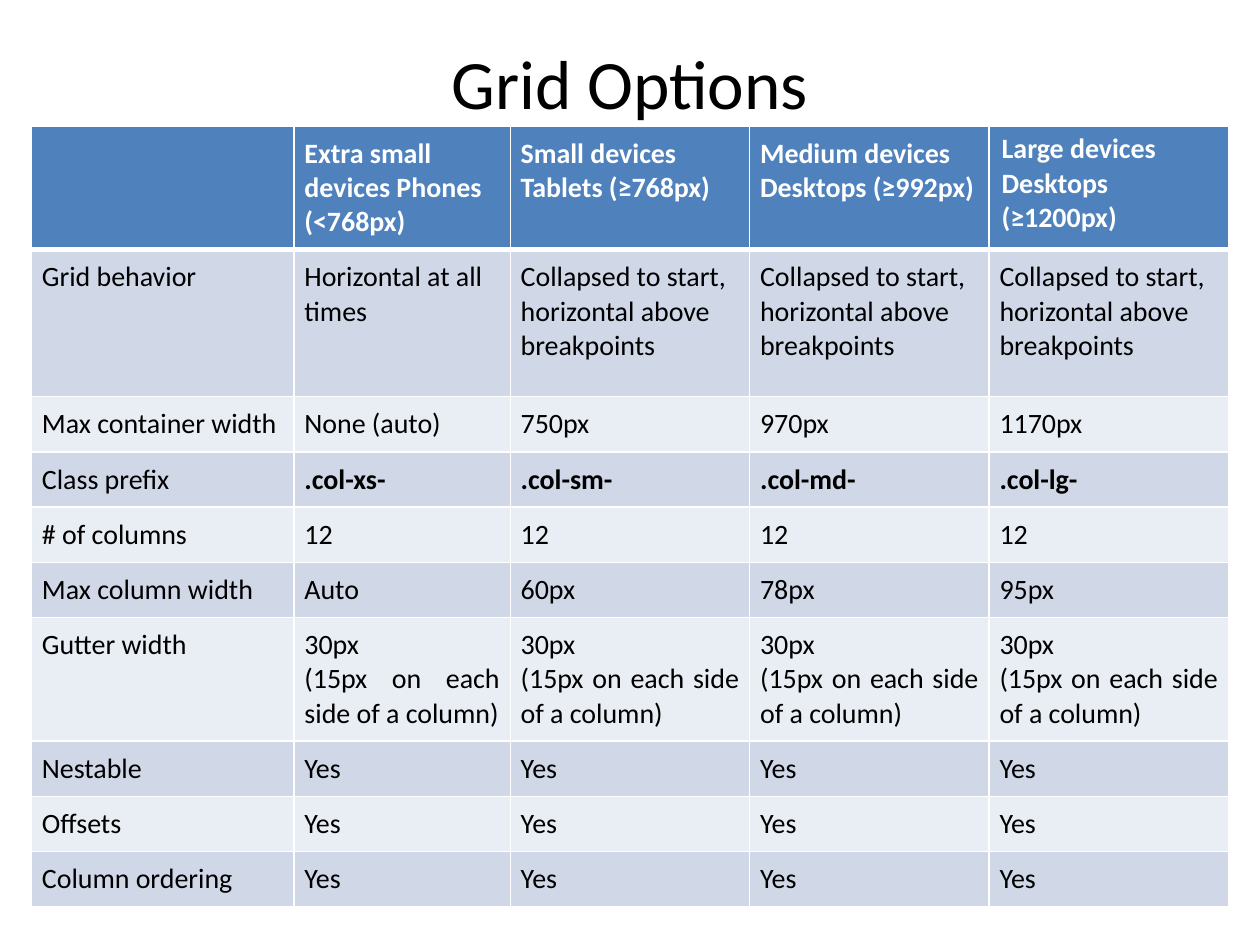
import pptx
import pptx.util
import pptx.dml.color
import pptx.enum.text
from lxml import etree
from pptx.oxml.ns import qn

Pt = pptx.util.Pt
ALIGN = pptx.enum.text.PP_ALIGN

# Content
TITLE = "Grid Options"
COLLAPSED = "Collapsed to start, horizontal above breakpoints"
GUTTER = "30px\n(15px on each side of a column)"
ROWS = [
    ["", "Extra small devices Phones (<768px)", "Small devices Tablets (≥768px)",
     "Medium devices Desktops (≥992px)", "Large devices Desktops (≥1200px)"],
    ["Grid behavior", "Horizontal at all times"] + [COLLAPSED] * 3,
    ["Max container width", "None (auto)", "750px", "970px", "1170px"],
    ["Class prefix", ".col-xs-", ".col-sm-", ".col-md-", ".col-lg-"],
    ["# of columns"] + ["12"] * 4,
    ["Max column width", "Auto", "60px", "78px", "95px"],
    ["Gutter width"] + [GUTTER] * 4,
    ["Nestable"] + ["Yes"] * 4,
    ["Offsets"] + ["Yes"] * 4,
    ["Column ordering"] + ["Yes"] * 4,
]
COL_WIDTHS = [150, 123.6, 136.8, 136.8, 136.8]
ROW_HEIGHTS = [66.3, 84] + [29.5] * 8
HEADER_FILL, BAND_FILLS = "4F81BD", ("E9EDF4", "D0D8E8")


def color(hex_text):
    return pptx.dml.color.RGBColor.from_string(hex_text)


def style(p, size, hex_text, bold=False):
    p.font.name, p.font.size, p.font.bold = "Calibri", Pt(size), bold
    p.font.color.rgb = color(hex_text)


def add_borders(cell, bottom, top):
    """White cell borders; they must come before the fill."""
    widths = {"a:lnL": 1, "a:lnR": 1, "a:lnT": top, "a:lnB": bottom}
    for i, (tag, width) in enumerate(widths.items()):
        ln = etree.Element(qn(tag), w=str(Pt(width)))
        fill = etree.SubElement(ln, qn("a:solidFill"))
        etree.SubElement(fill, qn("a:srgbClr"), val="FFFFFF")
        cell._tc.get_or_add_tcPr().insert(i, ln)


prs = pptx.Presentation()
prs.slide_width, prs.slide_height = Pt(720), Pt(540)
s = prs.slides.add_slide(prs.slide_layouts[5])

# Title
title = s.shapes.title
title.left, title.top, title.width, title.height = Pt(36), Pt(21.6), Pt(648), Pt(50.4)
tf = title.text_frame
tf.text = TITLE
tf.vertical_anchor = pptx.enum.text.MSO_ANCHOR.MIDDLE
tf.paragraphs[0].alignment = ALIGN.CENTER
style(tf.paragraphs[0], 39.6, "000000")

# Table
frame = s.shapes.add_table(len(ROWS), len(COL_WIDTHS), Pt(18), Pt(72),
                           Pt(sum(COL_WIDTHS)), Pt(sum(ROW_HEIGHTS)))
table = frame.table
for column, width in zip(table.columns, COL_WIDTHS):
    column.width = Pt(width)
for row, height in zip(table.rows, ROW_HEIGHTS):
    row.height = Pt(height)

# Cells: header, then alternating bands
last = len(COL_WIDTHS) - 1
for r, texts in enumerate(ROWS):
    for c, text in enumerate(texts):
        cell = table.cell(r, c)
        cell.text = text
        header = r == 0
        cell.fill.solid()
        cell.fill.fore_color.rgb = color(HEADER_FILL if header else BAND_FILLS[r % 2])
        add_borders(cell, bottom=3 if header else 1, top=3 if r == 1 else 1)
        if not (header and c == last):
            cell.margin_left = cell.margin_right = Pt(6)
            cell.margin_top = cell.margin_bottom = Pt(6)
        bold = header or text.startswith(".col")
        for p in cell.text_frame.paragraphs:
            style(p, 16, "FFFFFF" if header else "000000", bold)
            if text == GUTTER:
                p.alignment = ALIGN.JUSTIFY

prs.save("out.pptx")
